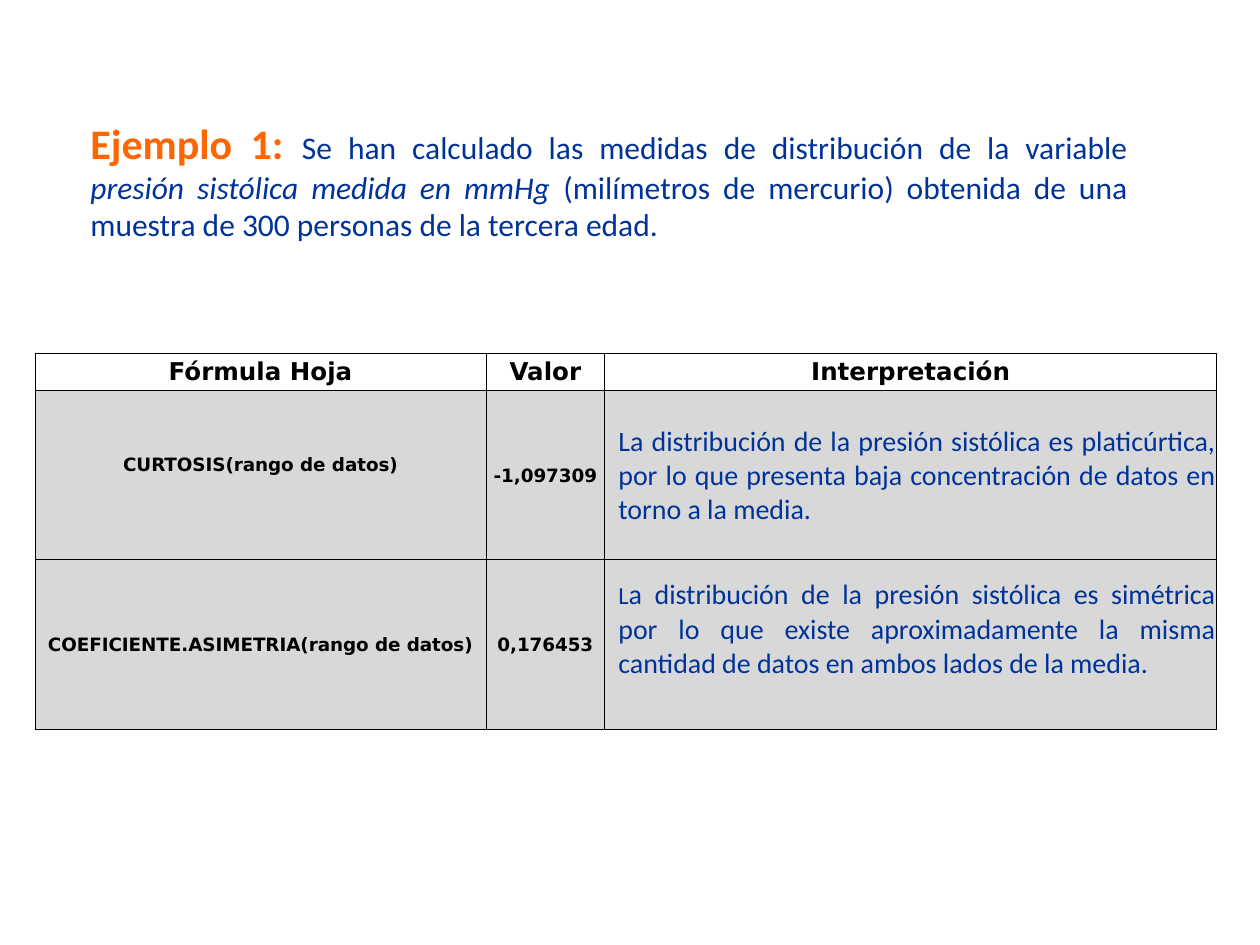
from dataclasses import dataclass

from lxml.etree import SubElement
from pptx import Presentation
from pptx.dml.color import RGBColor
from pptx.enum.text import MSO_ANCHOR, PP_ALIGN
from pptx.oxml.ns import qn
from pptx.slide import Slide
from pptx.table import _Cell
from pptx.util import Pt

ORANGE = RGBColor(0xFF, 0x66, 0x00)
BLUE = RGBColor(0x00, 0x33, 0x99)
BLACK = RGBColor(0x00, 0x00, 0x00)
WHITE = RGBColor(0xFF, 0xFF, 0xFF)
GRAY = RGBColor(0xD8, 0xD8, 0xD8)

COLUMN_WIDTHS = (257.8, 67.7, 349.9)
ROW_HEIGHTS = (21.6, 96.5, 97.2)


@dataclass
class Span:
    text: str
    size: float
    font: str = "Calibri"
    color: RGBColor = BLUE
    bold: bool = False
    italic: bool = False


@dataclass
class CellContent:
    spans: list[Span]
    fill: RGBColor = GRAY
    align: PP_ALIGN = PP_ALIGN.CENTER
    indent: float = 0
    bottom: float = 0


def label(text: str, size: float = 10.5, fill: RGBColor = GRAY, bottom: float = 0) -> CellContent:
    return CellContent([Span(text, size, "DejaVu Sans", BLACK, True)], fill, bottom=bottom)


def reading(*spans: Span, bottom: float = 0) -> CellContent:
    return CellContent(list(spans), align=PP_ALIGN.JUSTIFY, indent=7.2, bottom=bottom)


INTRODUCTION = [
    Span("Ejemplo 1: ", 24, color=ORANGE, bold=True),
    Span("Se han calculado las medidas de distribución de la variable ", 18),
    Span("presión sistólica medida en mmHg", 18, italic=True),
    Span(" (milímetros de mercurio) obtenida de una muestra de 300 personas de la tercera edad. ", 18),
]

ROWS = [
    [label(heading, 14, WHITE) for heading in ("Fórmula Hoja", "Valor", "Interpretación")],
    [
        label("CURTOSIS(rango de datos)", bottom=12.6),
        label("-1,097309"),
        reading(Span("La distribución de la presión sistólica es platicúrtica, por lo que presenta "
                     "baja concentración de datos en torno a la media. ", 16)),
    ],
    [
        label("COEFICIENTE.ASIMETRIA(rango de datos)"),
        label("0,176453"),
        reading(
            Span("L", 14),
            Span("a distribución de la presión sistólica es simétrica por lo que existe "
                 "aproximadamente la misma cantidad de datos en ambos lados de la media.", 16),
            bottom=18,
        ),
    ],
]


def write_spans(para, spans: list[Span], align: PP_ALIGN) -> None:
    para.alignment = align
    for span in spans:
        run = para.add_run()
        run.text = span.text
        run.font.size = Pt(span.size)
        run.font.name = span.font
        run.font.color.rgb = span.color
        run.font.bold = span.bold
        run.font.italic = span.italic


def draw_borders(cell: _Cell) -> None:
    properties = cell._tc.get_or_add_tcPr()
    for position, side in enumerate(("lnL", "lnR", "lnT", "lnB")):
        line = SubElement(properties, qn(f"a:{side}"), w=str(Pt(0.5)))
        fill = SubElement(line, qn("a:solidFill"))
        SubElement(fill, qn("a:srgbClr"), val=str(BLACK))
        properties.insert(position, line)


def fill_cell(cell: _Cell, content: CellContent) -> None:
    cell.fill.solid()
    cell.fill.fore_color.rgb = content.fill
    cell.vertical_anchor = MSO_ANCHOR.MIDDLE
    cell.margin_left = cell.margin_right = cell.margin_top = Pt(0.7)
    cell.margin_bottom = Pt(content.bottom)
    para = cell.text_frame.paragraphs[0]
    write_spans(para, content.spans, content.align)
    if content.indent:
        properties = para._p.get_or_add_pPr()
        properties.set("marL", str(Pt(content.indent)))
        properties.set("indent", "0")
    draw_borders(cell)


def add_introduction(page: Slide) -> None:
    box = page.shapes.add_textbox(Pt(44.6), Pt(63.4), Pt(607), Pt(101.5))
    box.text_frame.word_wrap = True
    write_spans(box.text_frame.paragraphs[0], INTRODUCTION, PP_ALIGN.JUSTIFY)


def add_results(page: Slide) -> None:
    frame = page.shapes.add_table(
        len(ROW_HEIGHTS), len(COLUMN_WIDTHS), Pt(20), Pt(201.7),
        Pt(sum(COLUMN_WIDTHS)), Pt(sum(ROW_HEIGHTS)),
    )
    table = frame.table
    for column, width in zip(table.columns, COLUMN_WIDTHS):
        column.width = Pt(width)
    for row, height, contents in zip(table.rows, ROW_HEIGHTS, ROWS):
        row.height = Pt(height)
        for cell, content in zip(row.cells, contents):
            fill_cell(cell, content)


def main() -> None:
    deck = Presentation()
    deck.slide_width = Pt(720)
    deck.slide_height = Pt(540)
    page = deck.slides.add_slide(deck.slide_layouts[6])
    add_introduction(page)
    add_results(page)
    deck.save("out.pptx")


if __name__ == "__main__":
    main()
